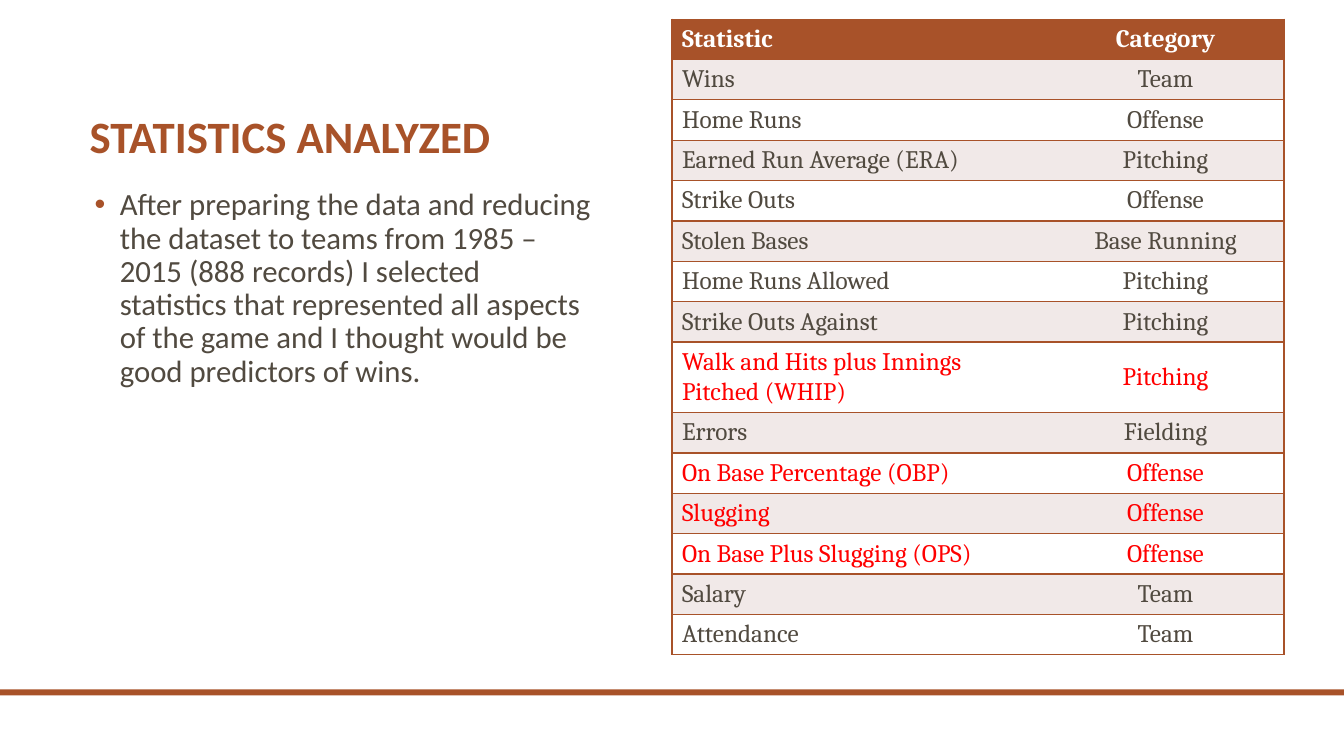
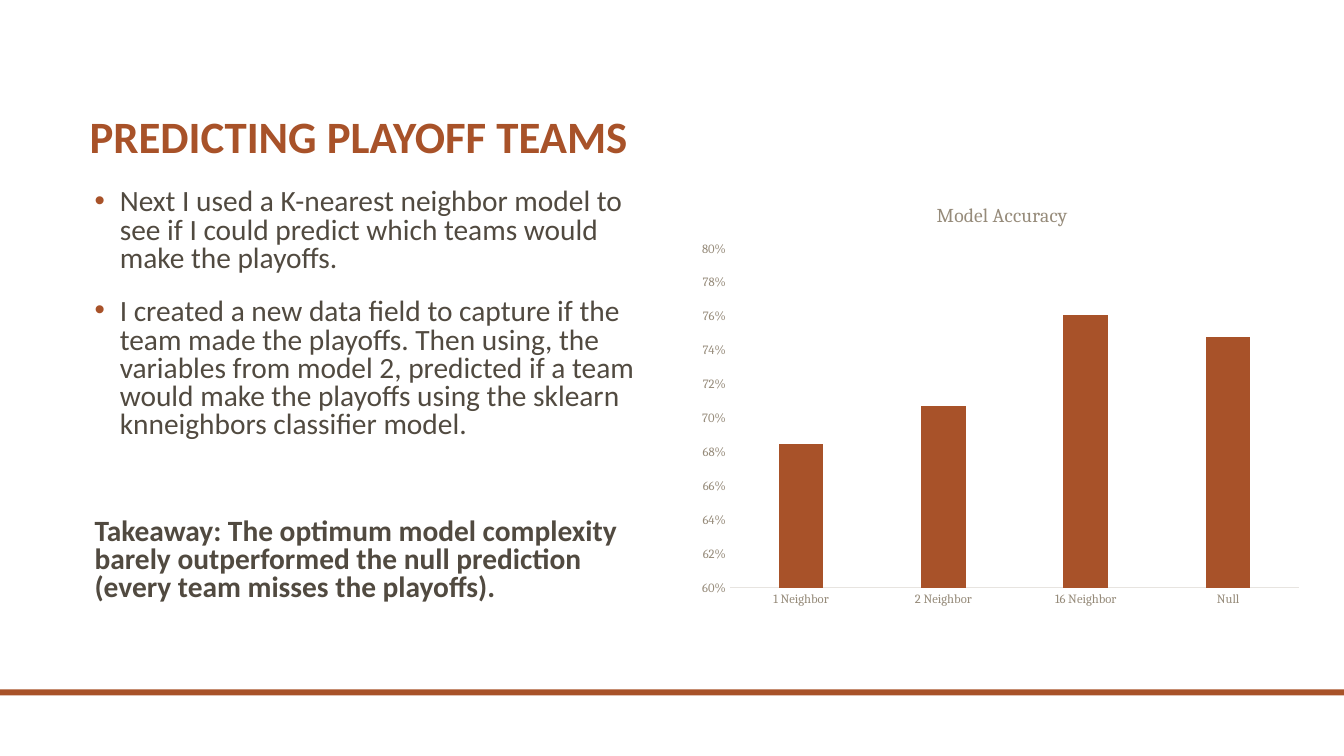
import pptx
import pptx.chart.data
import pptx.dml.color
import pptx.enum.chart
import pptx.enum.shapes
import pptx.enum.text
import pptx.oxml
import pptx.oxml.ns
import pptx.util
import lxml.etree

Inches, Pt = pptx.util.Inches, pptx.util.Pt
qn = pptx.oxml.ns.qn
PP_ALIGN = pptx.enum.text.PP_ALIGN
ANCHOR = pptx.enum.text.MSO_ANCHOR

RUST, INK, MUTED = "A85229", "514A40", "968B7A"
WHITE, TINT, AXIS, RED = "FFFFFF", "F1E9E8", "E7E4E0", "FF0000"
BODY_FONT, DATA_FONT = "Calibri", "Cambria"
LEFT, CONTENT_TOP = Inches(0.79), Inches(1.83)


def rgb(hex_string):
    return pptx.dml.color.RGBColor.from_string(hex_string)


def style(font, name, size, colour, bold=False):
    font.name, font.size, font.bold = name, Pt(size), bold
    font.color.rgb = rgb(colour)


deck = pptx.Presentation()
deck.slide_width, deck.slide_height = Inches(13.33), Inches(7.5)

# Each paragraph: text, bulleted, space before in points
pages = [
    ("STATISTICS ANALYZED", 5.17, 3.8, 22, 0.9, [
        ("After preparing the data and reducing the dataset to teams from 1985 – 2015 "
         "(888 records) I selected statistics that represented all aspects of the game "
         "and I thought would be good predictors of wins.", True, 18),
    ]),
    ("PREDICTING PLAYOFF TEAMS", 5.9, 4.54, 21, 0.8, [
        ("Next I used a K-nearest neighbor model to see if I could predict which teams "
         "would make the playoffs.", True, 18),
        ("I created a new data field to capture if the team made the playoffs. Then using, "
         "the variables from model 2, predicted if a team would make the playoffs using the "
         "sklearn knneighbors classifier model.", True, 18),
        ("Takeaway: The optimum model complexity barely outperformed the null prediction "
         "(every team misses the playoffs).", False, 56),
    ]),
]

# Shared frame: band, title and body text
for heading, body_width, body_height, size, spacing, paragraphs in pages:
    slide = deck.slides.add_slide(deck.slide_layouts[6])
    slide.background.fill.solid()
    slide.background.fill.fore_color.rgb = rgb(WHITE)

    band = slide.shapes.add_shape(pptx.enum.shapes.MSO_SHAPE.RECTANGLE,
                                  0, Inches(6.84), deck.slide_width, Inches(0.06))
    band.shadow.inherit = False
    band.fill.solid()
    band.fill.fore_color.rgb = rgb(RUST)
    band.line.fill.background()

    title = slide.shapes.add_textbox(LEFT, Inches(0.42), Inches(11.12), Inches(1.25)).text_frame
    title.word_wrap, title.vertical_anchor = True, ANCHOR.BOTTOM
    title.text = heading
    title.paragraphs[0].line_spacing = 0.9
    style(title.paragraphs[0].runs[0].font, BODY_FONT, 32, RUST, True)

    body = slide.shapes.add_textbox(LEFT, CONTENT_TOP, Inches(body_width),
                                    Inches(body_height)).text_frame
    body.word_wrap = True
    for index, (text, bulleted, space_before) in enumerate(paragraphs):
        paragraph = body.add_paragraph() if index else body.paragraphs[0]
        paragraph.text = text
        paragraph.line_spacing, paragraph.space_before = spacing, Pt(space_before)
        style(paragraph.runs[0].font, BODY_FONT, size, INK, not bulleted)
        properties = paragraph._p.get_or_add_pPr()
        properties.set("marL", str(Inches(0.3 if bulleted else 0.05)))
        properties.set("indent", str(Inches(-0.25 if bulleted else 0)))
        if bulleted:
            colour = lxml.etree.SubElement(properties, qn("a:buClr"))
            lxml.etree.SubElement(colour, qn("a:srgbClr"), val=RUST)
            lxml.etree.SubElement(properties, qn("a:buFont"), typeface="Arial")
            lxml.etree.SubElement(properties, qn("a:buChar"), char="•")

# Statistics table, with the derived statistics in red
statistics = [
    ("Statistic", "Category", WHITE),
    ("Wins", "Team", INK),
    ("Home Runs", "Offense", INK),
    ("Earned Run Average (ERA)", "Pitching", INK),
    ("Strike Outs", "Offense", INK),
    ("Stolen Bases", "Base Running", INK),
    ("Home Runs Allowed", "Pitching", INK),
    ("Strike Outs Against", "Pitching", INK),
    ("Walk and Hits plus Innings Pitched (WHIP)", "Pitching", RED),
    ("Errors", "Fielding", INK),
    ("On Base Percentage (OBP)", "Offense", RED),
    ("Slugging", "Offense", RED),
    ("On Base Plus Slugging (OPS)", "Offense", RED),
    ("Salary", "Team", INK),
    ("Attendance", "Team", INK),
]
table = deck.slides[0].shapes.add_table(len(statistics), 2, deck.slide_width // 2, Inches(0.19),
                                        Inches(6.07), Inches(5.2)).table
table.horz_banding = False
table.columns[0].width, table.columns[1].width = Inches(3.72), Inches(2.35)
for r, (statistic, category, colour) in enumerate(statistics):
    table.rows[r].height = Inches(0.58 if "WHIP" in statistic else 0.33)
    for c, text in enumerate((statistic, category)):
        cell = table.cell(r, c)
        cell.text = text
        cell.vertical_anchor = ANCHOR.MIDDLE
        paragraph = cell.text_frame.paragraphs[0]
        paragraph.alignment = PP_ALIGN.CENTER if c else PP_ALIGN.LEFT
        style(paragraph.runs[0].font, DATA_FONT, 18, colour, r == 0)
        inner_side = "R" if c == 0 else "L"
        for side in "LRTB":
            border = lxml.etree.SubElement(cell._tc.get_or_add_tcPr(), qn(f"a:ln{side}"),
                                           w=str(Pt(1)))
            if side == inner_side:
                lxml.etree.SubElement(border, qn("a:noFill"))
            else:
                fill = lxml.etree.SubElement(border, qn("a:solidFill"))
                lxml.etree.SubElement(fill, qn("a:srgbClr"), val=RUST)
        cell.fill.solid()
        cell.fill.fore_color.rgb = rgb(RUST if r == 0 else TINT if r % 2 else WHITE)

# Model accuracy chart
accuracy = pptx.chart.data.CategoryChartData(number_format="0%")
accuracy.categories = ["1 Neighbor", "2 Neighbor", "16 Neighbor", "Null"]
accuracy.add_series("Series 1", [0.685, 0.707, 0.761, 0.748])
chart = deck.slides[1].shapes.add_chart(pptx.enum.chart.XL_CHART_TYPE.COLUMN_CLUSTERED,
                                        Inches(6.87), CONTENT_TOP, Inches(6.14), Inches(4.26),
                                        accuracy).chart
style(chart.font, DATA_FONT, 10, INK)
chart.has_legend = False
chart.has_title = True
chart.chart_title.include_in_layout = False
chart.chart_title.text_frame.text = "Model Accuracy"
style(chart.chart_title.text_frame.paragraphs[0].runs[0].font, DATA_FONT, 14, MUTED)

columns = chart.plots[0]
columns.gap_width, columns.overlap, columns.vary_by_categories = 219, -27, False
columns.series[0].format.fill.solid()
columns.series[0].format.fill.fore_color.rgb = rgb(RUST)

for axis in (chart.category_axis, chart.value_axis):
    axis.has_major_gridlines = False
    axis.major_tick_mark = axis.minor_tick_mark = pptx.enum.chart.XL_TICK_MARK.NONE
    style(axis.tick_labels.font, DATA_FONT, 9, MUTED)
chart.category_axis.format.line.color.rgb = rgb(AXIS)
chart.category_axis.format.line.width = Pt(0.75)
percent = chart.value_axis
percent.format.line.fill.background()
percent.minimum_scale, percent.maximum_scale, percent.major_unit = 0.6, 0.8, 0.02
percent.tick_labels.number_format, percent.tick_labels.number_format_is_linked = "0%", False

# Plot area as shares of the chart's size
plot_area = chart._chartSpace.chart.plotArea
for old_layout in plot_area.findall(qn("c:layout")):
    plot_area.remove(old_layout)
layout = lxml.etree.Element(qn("c:layout"))
plot_area.insert(0, layout)
manual = lxml.etree.SubElement(layout, qn("c:manualLayout"))
for tag, value in (("layoutTarget", "inner"), ("xMode", "edge"), ("yMode", "edge"),
                   ("x", "0.06"), ("y", "0.15"), ("w", "0.92"), ("h", "0.79")):
    lxml.etree.SubElement(manual, qn(f"c:{tag}"), val=value)

deck.save("out.pptx")
